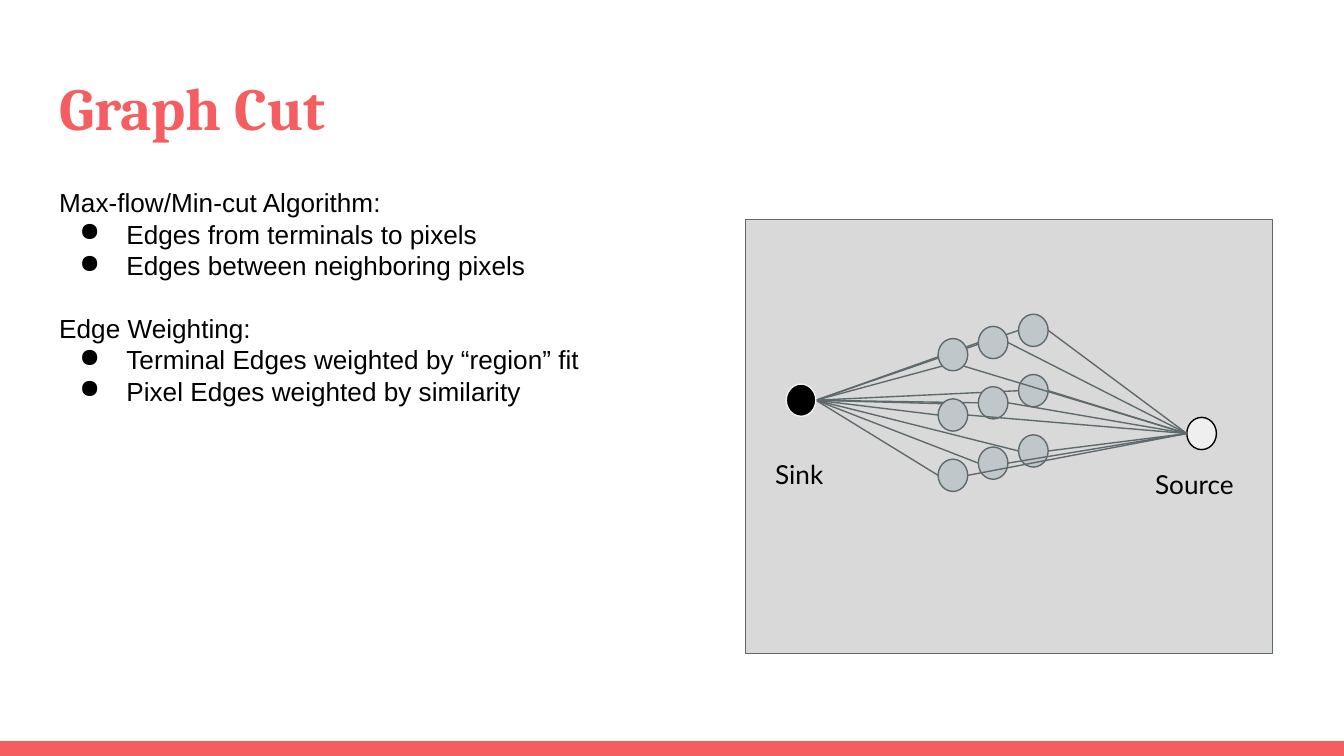
from dataclasses import dataclass
from itertools import product

from lxml.etree import SubElement
from pptx import Presentation
from pptx.dml.color import RGBColor as RGB
from pptx.enum.shapes import MSO_CONNECTOR as CONN, MSO_SHAPE as SHAPE
from pptx.oxml.ns import qn
from pptx.util import Cm, Pt


@dataclass(frozen=True)
class Theme:
    accent: RGB = RGB(0xF5, 0x5E, 0x61)
    panel: RGB = RGB(0xD9, 0xD9, 0xD9)
    edge: RGB = RGB(0x5E, 0x69, 0x6C)
    pixel: RGB = RGB(0xBF, 0xC7, 0xCA)
    black: RGB = RGB(0, 0, 0)
    sink_line: RGB = RGB(0xF3, 0xF3, 0xF3)
    source: RGB = RGB(0xEF, 0xEF, 0xEF)
    title_font: str = "Cambria"
    body_font: str = "Arial"
    label_font: str = "Lato"
    title_size: float = 32
    body_size: float = 14
    leading: float = 16.8
    stroke: float = 0.75


@dataclass(frozen=True)
class Box:
    x: float
    y: float
    w: float
    h: float

    def at(self, fx: float, fy: float) -> tuple[float, float]:
        return self.x + fx * self.w, self.y + fy * self.h


@dataclass(frozen=True)
class Line:
    text: str
    bullet: bool = False
    before: float = 0


T = Theme()
NODE_W, NODE_H = 0.56, 0.61
COL_STEP, ROW_STEP, COL_RISE = 0.76, 1.14, 0.23
LEFT, RIGHT = (0, 0.5), (1, 0.5)
TOP_LEFT, BOTTOM_LEFT, BOTTOM_RIGHT = (0.15, 0.15), (0.15, 0.85), (0.85, 0.85)

SINK = Box(14.86, 7.26, NODE_W, NODE_H)
SOURCE = Box(22.43, 7.89, NODE_W, NODE_H)
PIXELS = {
    (row, col): Box(17.73 + col * COL_STEP,
                    6.4 + row * ROW_STEP - col * COL_RISE, NODE_W, NODE_H)
    for row, col in product(range(3), repeat=2)
}
BODY = [
    Line("Max-flow/Min-cut Algorithm:"),
    Line("Edges from terminals to pixels", bullet=True),
    Line("Edges between neighboring pixels", bullet=True),
    Line("Edge Weighting:", before=T.leading),
    Line("Terminal Edges weighted by “region” fit", bullet=True),
    Line("Pixel Edges weighted by similarity", bullet=True),
]


def add_solid(shapes, kind: SHAPE, box: Box, fill: RGB, line: RGB | None = None) -> None:
    sp = shapes.add_shape(kind, Cm(box.x), Cm(box.y), Cm(box.w), Cm(box.h))
    sp.shadow.inherit = False
    sp.fill.solid()
    sp.fill.fore_color.rgb = fill
    if line is None:
        sp.line.fill.background()
    else:
        sp.line.color.rgb = line
        sp.line.width = Pt(T.stroke)


def add_edge(shapes, start: tuple[float, float], end: tuple[float, float]) -> None:
    cx = shapes.add_connector(CONN.STRAIGHT, *map(Cm, start + end))
    cx.line.color.rgb = T.edge
    cx.line.width = Pt(T.stroke)
    SubElement(cx._element.spPr, qn("a:effectLst"))


def add_bullet(p) -> None:
    pPr = p._p.get_or_add_pPr()
    pPr.set("marL", str(Cm(1.27)))
    pPr.set("indent", str(Cm(-0.89)))
    SubElement(SubElement(pPr, qn("a:buClr")), qn("a:srgbClr"), val=str(T.black))
    SubElement(pPr, qn("a:buChar"), char="●")


def add_text(shapes, box: Box, lines: list[Line], font: str, size: float,
             color: RGB, bold: bool = False, leading: float | None = None) -> None:
    tf = shapes.add_textbox(Cm(box.x), Cm(box.y), Cm(box.w), Cm(box.h)).text_frame
    tf.word_wrap = True
    tf.margin_left = tf.margin_right = tf.margin_top = tf.margin_bottom = Cm(0.25)
    for i, line in enumerate(lines):
        p = tf.add_paragraph() if i else tf.paragraphs[0]
        if line.bullet:
            add_bullet(p)
        if leading:
            p.line_spacing = Pt(leading)
        if line.before:
            p.space_before = Pt(line.before)
        r = p.add_run()
        r.text = line.text
        r.font.name = font
        r.font.size = Pt(size)
        r.font.bold = bold
        r.font.color.rgb = color


def add_graph(shapes) -> None:
    for key, pixel in PIXELS.items():
        site = BOTTOM_LEFT if key == (0, 0) else LEFT
        add_edge(shapes, SINK.at(*RIGHT), pixel.at(*site))
    add_edge(shapes, SINK.at(*RIGHT), PIXELS[1, 0].at(*TOP_LEFT))
    add_solid(shapes, SHAPE.OVAL, SINK, T.black, T.sink_line)
    for pixel in PIXELS.values():
        add_solid(shapes, SHAPE.OVAL, pixel, T.pixel, T.edge)
    add_solid(shapes, SHAPE.OVAL, SOURCE, T.source, T.black)
    for key, pixel in PIXELS.items():
        site = BOTTOM_RIGHT if key == (0, 0) else RIGHT
        add_edge(shapes, SOURCE.at(*LEFT), pixel.at(*site))


def main() -> None:
    prs = Presentation()
    prs.slide_width, prs.slide_height = Cm(25.4), Cm(14.29)
    s = prs.slides.add_slide(prs.slide_layouts[6])
    shapes = s.shapes

    add_solid(shapes, SHAPE.RECTANGLE, Box(0, 14.01, 25.4, 0.28), T.accent)
    add_text(shapes, Box(0.87, 1.09, 23.67, 1.73), [Line("Graph Cut")],
             T.title_font, T.title_size, T.accent, bold=True)
    add_solid(shapes, SHAPE.RECTANGLE, Box(14.09, 4.15, 9.96, 8.2), T.panel, T.edge)
    add_graph(shapes.add_group_shape().shapes)
    for text, box in (("Sink", Box(14.4, 8.41, 2.03, 1.04)),
                      ("Source", Box(21.58, 8.6, 2.13, 1.04))):
        add_text(shapes, box, [Line(text)], T.label_font, T.body_size, T.black)
    add_text(shapes, Box(0.87, 3.28, 13.64, 9.65), BODY,
             T.body_font, T.body_size, T.black, leading=T.leading)
    prs.save("out.pptx")


if __name__ == "__main__":
    main()
